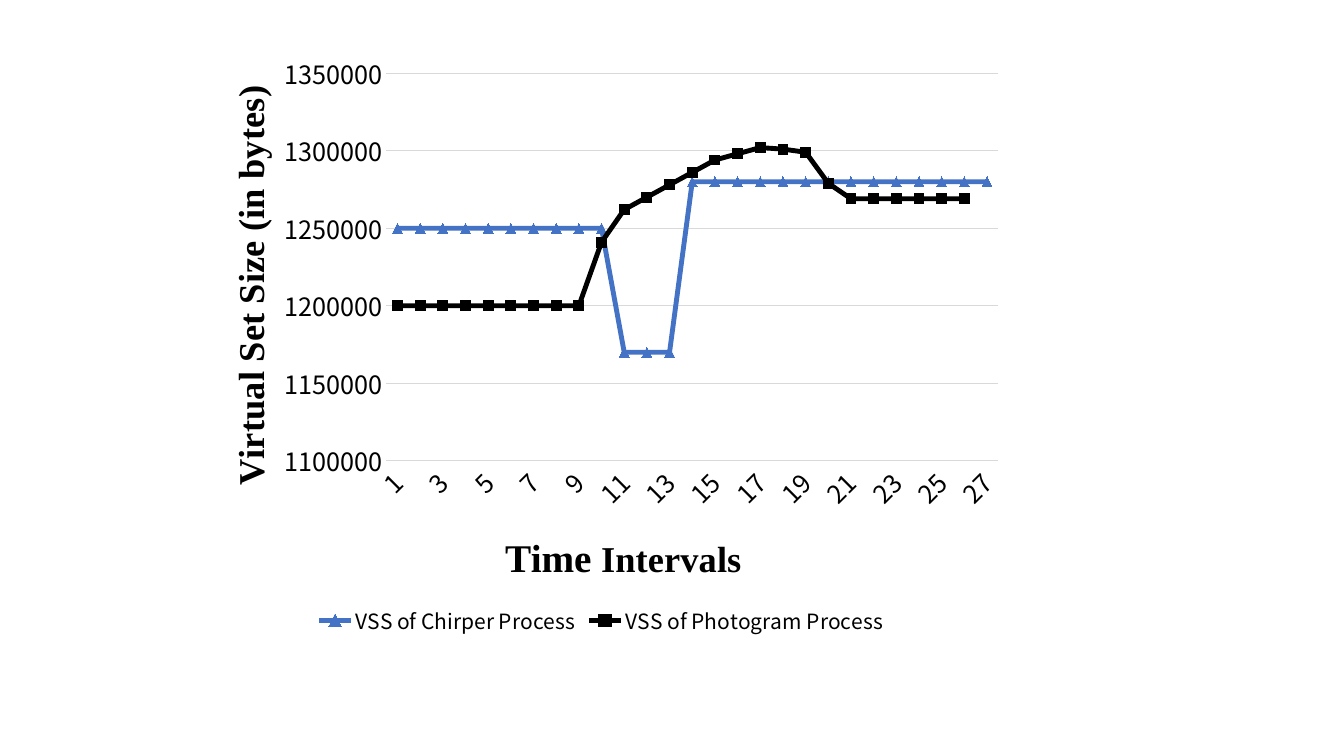
from pptx import Presentation
from pptx.chart.data import CategoryChartData
from pptx.dml.color import RGBColor
from pptx.enum.chart import XL_CHART_TYPE as ChartType, XL_LEGEND_POSITION as LegendPosition
from pptx.enum.chart import XL_MARKER_STYLE as MarkerStyle, XL_TICK_MARK as TickMark
from pptx.oxml import parse_xml
from pptx.oxml.ns import nsdecls, qn
from pptx.util import Pt

COLORS = {"text": "000000", "grid": "D9D9D9", "blue": "4472C4", "black": "000000", "red": "FF0000"}
BODY_FONT, TITLE_FONT = "Noto Sans CJK SC", "Times New Roman"


def style_font(font, size, name=BODY_FONT, bold=False):
    font.size, font.name, font.bold = Pt(size), name, bold
    font.color.rgb = RGBColor.from_string(COLORS["text"])


def place(element, index, **layout):
    for old in element.findall(qn("c:layout")):
        element.remove(old)
    inner = '<c:layoutTarget val="inner"/>' if "w" in layout else ""
    modes = "".join(f'<c:{key}Mode val="edge"/>' for key in "xy")
    values = "".join(f'<c:{key} val="{value}"/>' for key, value in layout.items())
    element.insert(index, parse_xml(
        f'<c:layout {nsdecls("c")}><c:manualLayout>{inner}{modes}{values}</c:manualLayout></c:layout>'))


presentation = Presentation()
presentation.slide_width, presentation.slide_height = Pt(960), Pt(540)
slide = presentation.slides.add_slide(presentation.slide_layouts[6])

chirper_sizes = [1250000] * 10 + [1170000] * 3 + [1280000] * 14
photogram_sizes = [1200000] * 9 + [
    1241000, 1262000, 1270000, 1278000, 1286000, 1294000,
    1298000, 1302000, 1301000, 1299000, 1279000] + [1269000] * 6 + [None]

chart_data = CategoryChartData(number_format="General")
chart_data.categories = [str(interval) for interval in range(1, 28)]
chart_data.add_series("VSS of Chirper Process", chirper_sizes)
chart_data.add_series("VSS of Photogram Process", photogram_sizes)
chart = slide.shapes.add_chart(
    ChartType.LINE_MARKERS, Pt(134), Pt(31), Pt(591), Pt(426), chart_data).chart
style_font(chart.font, 10)
chart.has_title = False
chart.has_legend = True
chart.legend.position = LegendPosition.BOTTOM
chart.legend.include_in_layout = False
style_font(chart.legend.font, 15)

plot = chart.plots[0]
plot.vary_by_categories = False
place(chart._chartSpace.chart.plotArea, 0, x=0.24, y=0.05, w=0.74, h=0.65)

series_styles = [
    ("blue", MarkerStyle.TRIANGLE, range(10, 14)),
    ("black", MarkerStyle.SQUARE, range(9, 21)),
]
for series, (color, marker_style, red_points) in zip(plot.series, series_styles):
    series.smooth = False
    series.marker.style, series.marker.size = marker_style, 7
    points = [series.points[index] for index in red_points]
    for item, marker_color in [(series, color)] + [(point, "red") for point in points]:
        item.format.line.width = Pt(3.5)
        item.format.line.color.rgb = RGBColor.from_string(COLORS[color])
        item.marker.style, item.marker.size = marker_style, 7
        marker_format = item.marker.format
        marker_format.fill.solid()
        marker_format.fill.fore_color.rgb = RGBColor.from_string(COLORS[marker_color])
        marker_format.line.color.rgb = RGBColor.from_string(COLORS[marker_color])

category_axis, value_axis = chart.category_axis, chart.value_axis
value_axis.minimum_scale, value_axis.maximum_scale = 1100000, 1350000
value_axis.major_unit = 50000
value_axis.has_major_gridlines = True
value_axis.format.line.fill.background()
for line in (category_axis.format.line, value_axis.major_gridlines.format.line):
    line.width = Pt(0.75)
    line.color.rgb = RGBColor.from_string(COLORS["grid"])

axis_titles = [
    (category_axis, [("Time ", 28), ("Intervals", 26)], 0, 0.38, 0.82),
    (value_axis, [("Virtual Set Size (in bytes)", 26)], -5400000, 0.04, 0.06),
]
for axis, runs, rotation, left, top in axis_titles:
    axis.major_tick_mark = axis.minor_tick_mark = TickMark.NONE
    style_font(axis.tick_labels.font, 18)
    text_frame = axis.axis_title.text_frame
    text_frame._txBody.bodyPr.set("rot", str(rotation))
    for text, size in runs:
        run = text_frame.paragraphs[0].add_run()
        run.text = text
        style_font(run.font, size, TITLE_FONT, True)
    place(axis.axis_title._element, 1, x=left, y=top)

category_element = category_axis._element
category_element.find(qn("c:txPr")).find(qn("a:bodyPr")).set("rot", "-2700000")
skip = parse_xml(f'<c:tickLblSkip {nsdecls("c")} val="2"/>')
category_element.find(qn("c:noMultiLvlLbl")).addprevious(skip)

presentation.save("out.pptx")
